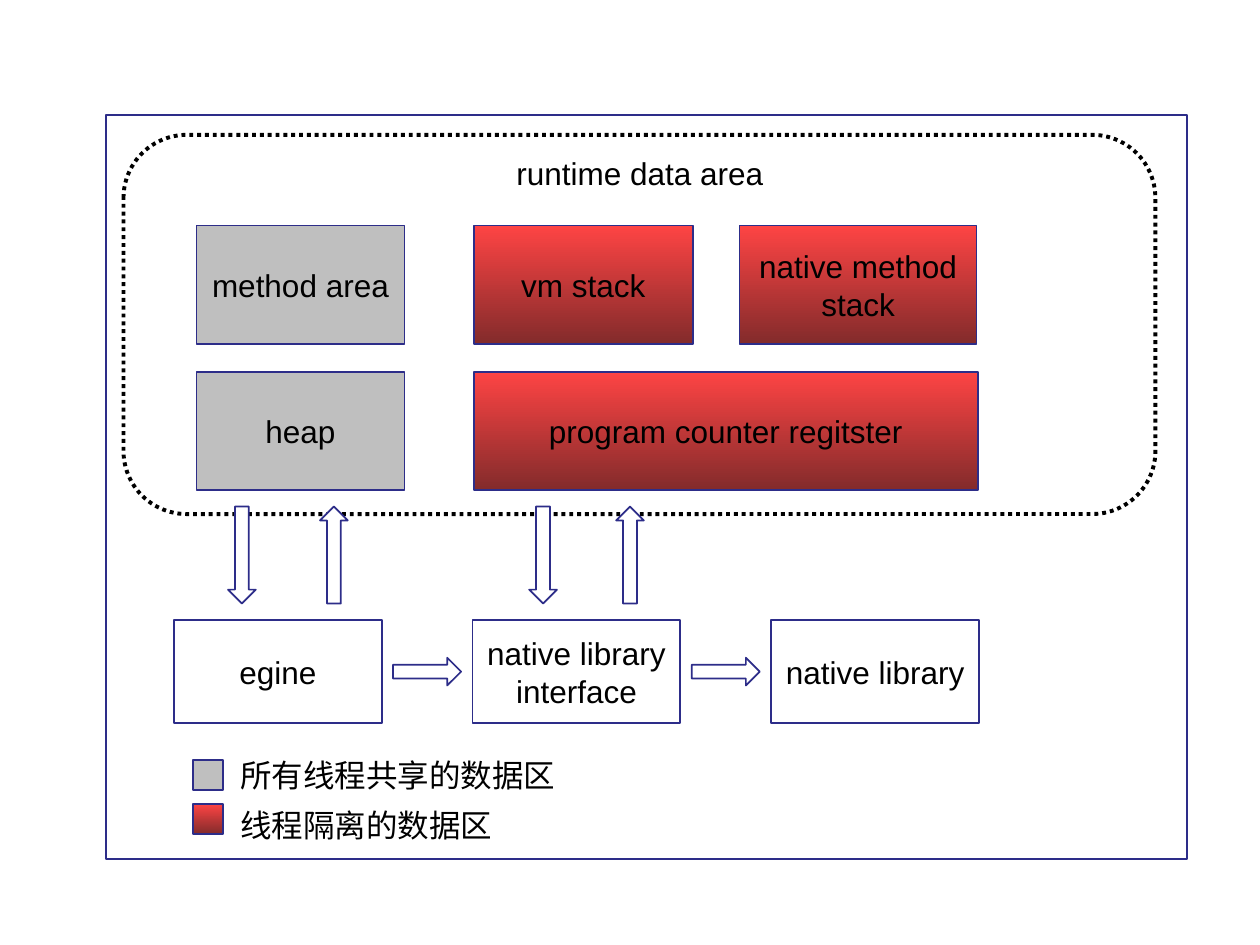
from pptx import Presentation
from pptx.dml.color import RGBColor
from pptx.enum.dml import MSO_LINE
from pptx.enum.shapes import MSO_SHAPE
from pptx.enum.text import MSO_ANCHOR, MSO_AUTO_SIZE, PP_ALIGN
from pptx.util import Inches, Pt

RECT = MSO_SHAPE.RECTANGLE
ROUND = MSO_SHAPE.ROUNDED_RECTANGLE
ARROW = MSO_SHAPE.DOWN_ARROW
DOTS = MSO_LINE.ROUND_DOT
MIDDLE = MSO_ANCHOR.MIDDLE
GROW = MSO_AUTO_SIZE.SHAPE_TO_FIT_TEXT
CENTER = PP_ALIGN.CENTER

NAVY, BLACK, WHITE = "2D2D89", "000000", "FFFFFF"
SHARED = ["BFBFBF"]
PRIVATE = ["FE4444", "832B2B"]
PLAIN = [WHITE]


def color(code):
    return RGBColor.from_string(code)


def style(para):
    para.font.name = "Arial"
    para.font.size = Pt(18)
    para.font.color.rgb = color(BLACK)


def add_box(slide, box, fill=None, text="", kind=RECT):
    """Add an outlined shape; two fill colours make a vertical gradient."""
    shape = slide.shapes.add_shape(kind, *map(Inches, box))
    shape.shadow.inherit = False
    shape.line.color.rgb = color(NAVY)
    shape.line.width = Pt(1)
    if not fill:
        shape.fill.background()
    elif len(fill) == 1:
        shape.fill.solid()
        shape.fill.fore_color.rgb = color(fill[0])
    else:
        shape.fill.gradient()
        shape.fill.gradient_angle = 270
        for stop, code in zip(shape.fill.gradient_stops, fill):
            stop.color.rgb = color(code)
    if text:
        frame = shape.text_frame
        frame.word_wrap = True
        frame.vertical_anchor = MIDDLE
        frame.text = text
        frame.paragraphs[0].alignment = CENTER
        style(frame.paragraphs[0])
    return shape


def add_label(slide, box, text):
    frame = slide.shapes.add_textbox(*map(Inches, box)).text_frame
    frame.word_wrap = False
    frame.auto_size = GROW
    frame.text = text
    style(frame.paragraphs[0])


def add_arrow(slide, box, turn=0):
    add_box(slide, box, PLAIN, kind=ARROW).rotation = turn


def add_runtime(slide, box):
    left, top, width, height = box
    border = add_box(slide, box, kind=ROUND)
    border.line.color.rgb = color(BLACK)
    border.line.width = Pt(2.25)
    border.line.dash_style = DOTS
    add_label(slide, (left + 3.02, top + 0.1, 2.16, 0.4), "runtime data area")
    parts = [
        (0.58, 0, 1.65, SHARED, "method area"),
        (0.58, 1, 1.65, SHARED, "heap"),
        (2.78, 0, 1.74, PRIVATE, "vm stack"),
        (4.89, 0, 1.88, PRIVATE, "native method stack"),
        (2.78, 1, 4, PRIVATE, "program counter regitster"),
    ]
    for x, row, wide, fill, text in parts:
        y = top + 0.72 + row * 1.16
        add_box(slide, (left + x, y, wide, 0.94), fill, text)


def add_links(slide, box):
    """Add the arrows between the runtime area and the row below it."""
    left, top, width, height = box
    for x, turn in [(0, 0), (0.73, 180), (2.39, 0), (3.08, 180)]:
        add_arrow(slide, (left + x, top, 0.22, height), turn)


def add_native(slide, box):
    """Add the bottom row of boxes, joined by arrows."""
    left, top, width, height = box
    names = ["egine", "native library interface", "native library"]
    wide = 1.65
    step = (width - wide) / (len(names) - 1)
    for i, name in enumerate(names):
        x = left + i * step
        add_box(slide, (x, top, wide, height), PLAIN, name)
        if i:
            mid = x - (step - wide) / 2
            add_arrow(slide, (mid - 0.11, top + 0.14, 0.22, 0.54), 270)


def add_legend(slide, box):
    left, top, width, height = box
    rows = [(SHARED, 2.7, "所有线程共享的数据区"),
            (PRIVATE, 2.2, "线程隔离的数据区")]
    for i, (fill, wide, text) in enumerate(rows):
        add_box(slide, (left, top + 0.08 + i * 0.35, 0.24, 0.24), fill)
        add_label(slide, (left + 0.28, top + i * 0.4, wide, 0.4), text)


def main():
    deck = Presentation()
    deck.slide_width, deck.slide_height = Inches(10), Inches(7.5)
    slide = deck.slides.add_slide(deck.slide_layouts[6])
    add_box(slide, (0.84, 0.91, 8.58, 5.91))
    add_runtime(slide, (0.98, 1.07, 8.19, 3.01))
    add_native(slide, (1.38, 4.92, 6.39, 0.82))
    add_links(slide, (1.81, 4.02, 3.3, 0.77))
    add_legend(slide, (1.53, 5.95, 2.98, 0.8))
    deck.save("out.pptx")


if __name__ == "__main__":
    main()
